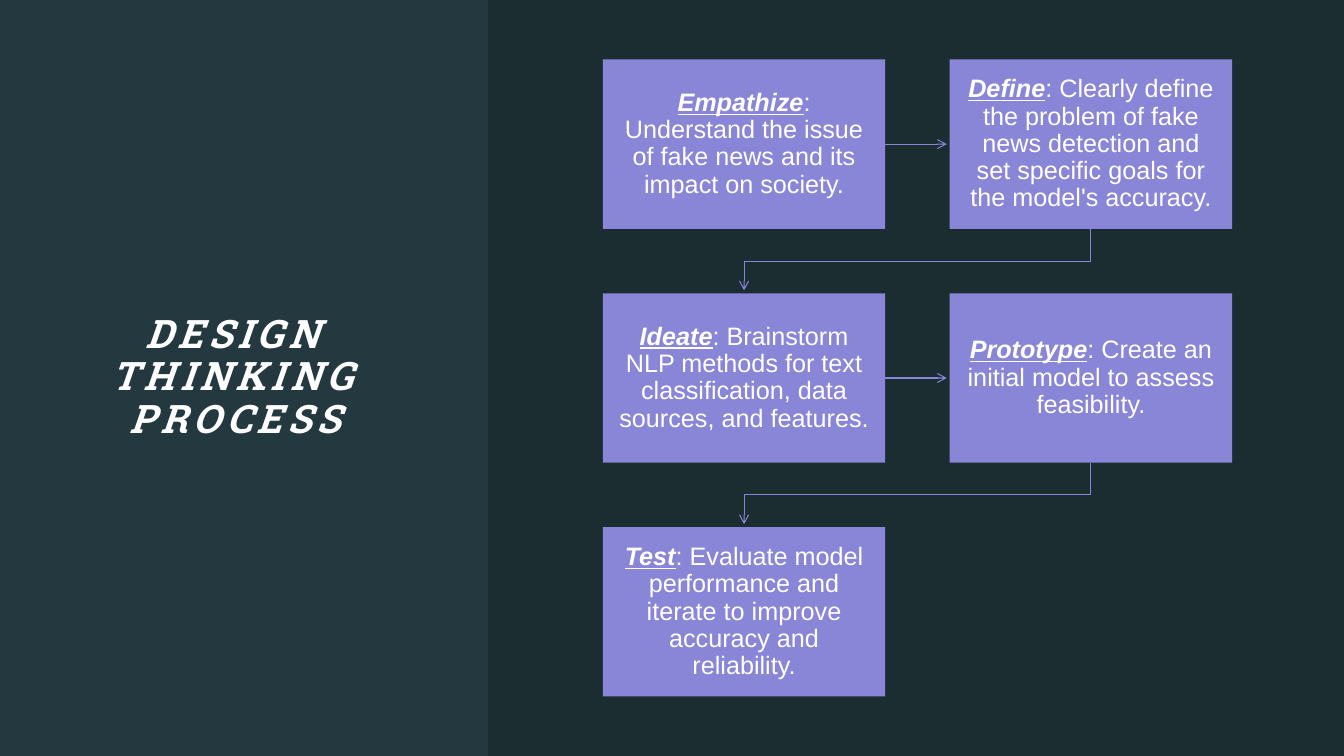
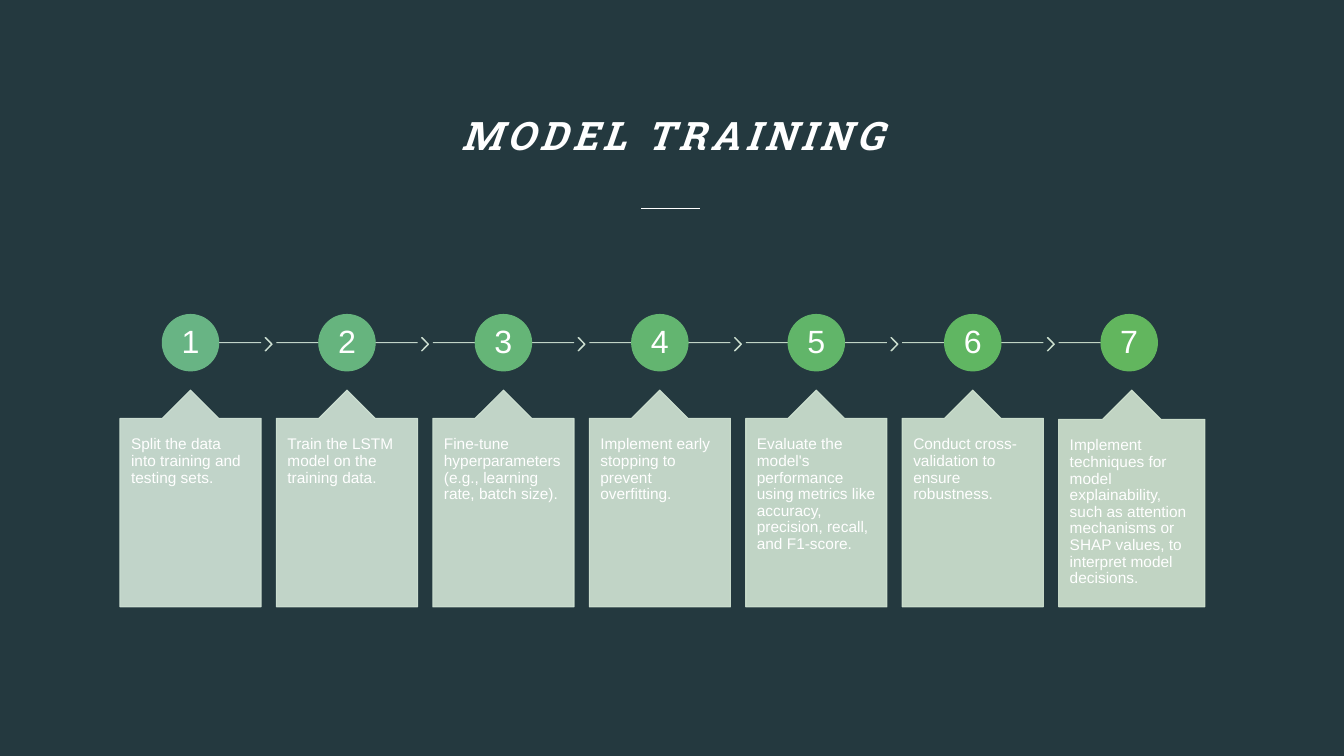
from lxml.etree import SubElement
from pptx import Presentation
from pptx.dml.color import RGBColor
from pptx.enum.shapes import MSO_CONNECTOR, MSO_SHAPE
from pptx.enum.text import MSO_ANCHOR, MSO_AUTO_SIZE, PP_ALIGN
from pptx.oxml.ns import qn
from pptx.util import Inches, Pt

COLORS = {
    "background": "24393F",
    "panel": "000000",
    "text": "FFFFFF",
    "flow": "8985D7",
}
TITLE_FONT, BODY_FONT = "Roboto Slab", "Arial"


def tint(fill, color, opacity=100):
    """Give a fill, of a shape or of a line, one colour with an opacity in percent."""
    fill.solid()
    fill.fore_color.rgb = RGBColor.from_string(color)
    if opacity < 100:
        solid = fill._xPr.find(qn("a:solidFill"))
        SubElement(solid[0], qn("a:alpha"), val=str(opacity * 1000))


def add_line(slide, start, end, color, width=0.75, opacity=100):
    points = [round(value) for value in (*start, *end)]
    line = slide.shapes.add_connector(MSO_CONNECTOR.STRAIGHT, *points)
    line.line.width = Pt(width)
    tint(line.line.fill, color, opacity)
    SubElement(line._element.spPr, qn("a:effectLst"))
    return line


prs = Presentation()
prs.slide_width, prs.slide_height = Inches(13.33), Inches(7.5)
W, H = prs.slide_width, prs.slide_height
tint(prs.slide_master.background.fill, COLORS["background"])

# Titles: text, box as shares of the slide, anchor
titles = [
    ("DESIGN THINKING PROCESS", (0.04, 0.16, 0.27, 0.68), MSO_ANCHOR.MIDDLE),
    ("MODEL TRAINING", (0.09, 0.08, 0.82, 0.13), MSO_ANCHOR.BOTTOM),
]
for heading, (left, top, width, height), anchor in titles:
    title = prs.slides.add_slide(prs.slide_layouts[5]).shapes.title
    title.left, title.top = round(left * W), round(top * H)
    title.width, title.height = round(width * W), round(height * H)
    frame = title.text_frame
    frame.text = heading
    frame.word_wrap, frame.auto_size = True, MSO_AUTO_SIZE.NONE
    frame.vertical_anchor = anchor
    frame.margin_left = frame.margin_right = frame.margin_top = frame.margin_bottom = 0
    paragraph = frame.paragraphs[0]
    paragraph.alignment, paragraph.line_spacing = PP_ALIGN.CENTER, 0.9
    font = paragraph.runs[0].font
    font.name, font.size = TITLE_FONT, Pt(28)
    font.bold = font.italic = True
    font.color.rgb = RGBColor.from_string(COLORS["text"])
    font._element.set("spc", "400")
process, training = prs.slides

# Design thinking: five stages on a grid of two columns
panel_left = round(0.363 * W)
panel = process.shapes.add_shape(MSO_SHAPE.RECTANGLE, panel_left, 0, W - panel_left, H)
panel.shadow.inherit = False
panel.line.fill.background()
tint(panel.fill, COLORS["panel"], 20)

stages = [
    ("Empathize", ": Understand the issue of fake news and its impact on society."),
    ("Define", ": Clearly define the problem of fake news detection and set specific "
               "goals for the model's accuracy."),
    ("Ideate", ": Brainstorm NLP methods for text classification, data sources, and features."),
    ("Prototype", ": Create an initial model to assess feasibility."),
    ("Test", ": Evaluate model performance and iterate to improve accuracy and reliability."),
]
grid_left, grid_top = Inches(5.98), Inches(0.59)
column, row = Inches(3.44), Inches(2.32)
box_width, box_height = Inches(2.8), Inches(1.68)
arrow_gap = Inches(0.03)

for index, (stage, description) in enumerate(stages):
    left = grid_left + index % 2 * column
    top = grid_top + index // 2 * row
    box = process.shapes.add_shape(MSO_SHAPE.RECTANGLE, left, top, box_width, box_height)
    box.shadow.inherit = False
    box.line.fill.background()
    tint(box.fill, COLORS["flow"])
    frame = box.text_frame
    frame.word_wrap, frame.vertical_anchor = True, MSO_ANCHOR.MIDDLE
    frame.margin_left = frame.margin_right = Inches(0.14)
    frame.margin_top = frame.margin_bottom = Inches(0.14)
    paragraph = frame.paragraphs[0]
    paragraph.alignment, paragraph.line_spacing = PP_ALIGN.CENTER, 0.9
    for words, is_name in ((stage, True), (description, False)):
        run = paragraph.add_run()
        run.text = words
        run.font.name, run.font.size = BODY_FONT, Pt(18)
        run.font.bold = run.font.italic = run.font.underline = is_name
        run.font.color.rgb = RGBColor.from_string(COLORS["text"])

    if index == len(stages) - 1:
        continue
    if index % 2 == 0:
        middle = top + box_height / 2
        arrow = add_line(process, (left + box_width, middle),
                         (left + column - arrow_gap, middle), COLORS["flow"])
    else:
        center, bottom = left + box_width // 2, top + box_height
        turn = bottom + (row - box_height) // 2
        bend = process.shapes.build_freeform(center, bottom)
        bend.add_line_segments([(center, turn), (center - column, turn),
                                (center - column, top + row - arrow_gap)], close=False)
        arrow = bend.convert_to_shape()
        arrow.shadow.inherit = False
        arrow.fill.background()
        arrow.line.width = Pt(0.75)
        tint(arrow.line.fill, COLORS["flow"])
    SubElement(arrow.line._get_or_add_ln(), qn("a:tailEnd"), type="arrow")

# Model training: seven numbered steps along one line
rule_y = 0.276 * H
add_line(training, (0.477 * W, rule_y), (0.521 * W, rule_y), COLORS["text"], 1)

# Step text, circle colour, card colour
steps = [
    ("Split the data into training and testing sets.", "68B484", "D3E5D8"),
    ("Train the LSTM model on the training data.", "66B47E", "D3E5D7"),
    ("Fine-tune hyperparameters (e.g., learning rate, batch size).", "65B577", "D3E5D6"),
    ("Implement early stopping to prevent overfitting.", "63B570", "D3E5D5"),
    ("Evaluate the model's performance using metrics like accuracy, precision, recall, "
     "and F1-score.", "61B569", "D2E5D4"),
    ("Conduct cross-validation to ensure robustness.", "60B662", "D2E5D3"),
    ("Implement techniques for model explainability, such as attention mechanisms or "
     "SHAP values, to interpret model decisions.", "62B65E", "D3E5D2"),
]
steps_left, step_pitch = Inches(1.19), Inches(9.31) // 6
card_width, last_card_width = Inches(1.4), Inches(1.45)
card_top, card_height = Inches(3.87), Inches(2.15)
line_y, circle_size = Inches(3.4), Inches(0.56)
chevron_width, chevron_height = Inches(0.07), Inches(0.13)

for index, (step, green, pale) in enumerate(steps):
    first, last = index == 0, index == len(steps) - 1
    left = steps_left + index * step_pitch
    center = left + card_width // 2
    add_line(training, (center if first else left, line_y),
             (center if last else left + card_width, line_y), pale, opacity=90)
    circle = training.shapes.add_shape(MSO_SHAPE.OVAL, center - circle_size // 2,
                                       line_y - circle_size // 2, circle_size, circle_size)
    card = training.shapes.add_shape(MSO_SHAPE.UP_ARROW_CALLOUT, left, card_top,
                                     last_card_width if last else card_width, card_height)
    for position, share in enumerate((0.4, 0.2, 0.2, 0.87)):
        card.adjustments[position] = share
    parts = [(circle, green, 100), (card, pale, 90)]
    if not last:
        chevron = training.shapes.add_shape(
            MSO_SHAPE.CHEVRON, left + card_width + Inches(0.04),
            line_y + Inches(0.015) - chevron_height // 2, chevron_width, chevron_height)
        chevron.adjustments[0] = 0.9
        parts.append((chevron, pale, 90))
    for part, color, opacity in parts:
        part.shadow.inherit = False
        part.line.width = Pt(0.75)
        tint(part.fill, color, opacity)
        tint(part.line.fill, color, opacity)

    labels = [
        (circle, str(index + 1), 23, PP_ALIGN.CENTER, MSO_ANCHOR.MIDDLE, 0.02, 0.02),
        (card, step, 11, PP_ALIGN.LEFT, MSO_ANCHOR.TOP, 0.11, 0.18),
    ]
    for part, words, size, alignment, anchor, side, edge in labels:
        frame = part.text_frame
        frame.text = words
        frame.word_wrap, frame.vertical_anchor = True, anchor
        frame.margin_left = frame.margin_right = Inches(side)
        frame.margin_top = frame.margin_bottom = Inches(edge)
        paragraph = frame.paragraphs[0]
        paragraph.alignment, paragraph.line_spacing = alignment, 0.9
        font = paragraph.runs[0].font
        font.name, font.size = BODY_FONT, Pt(size)
        font.color.rgb = RGBColor.from_string(COLORS["text"])

prs.save("out.pptx")
